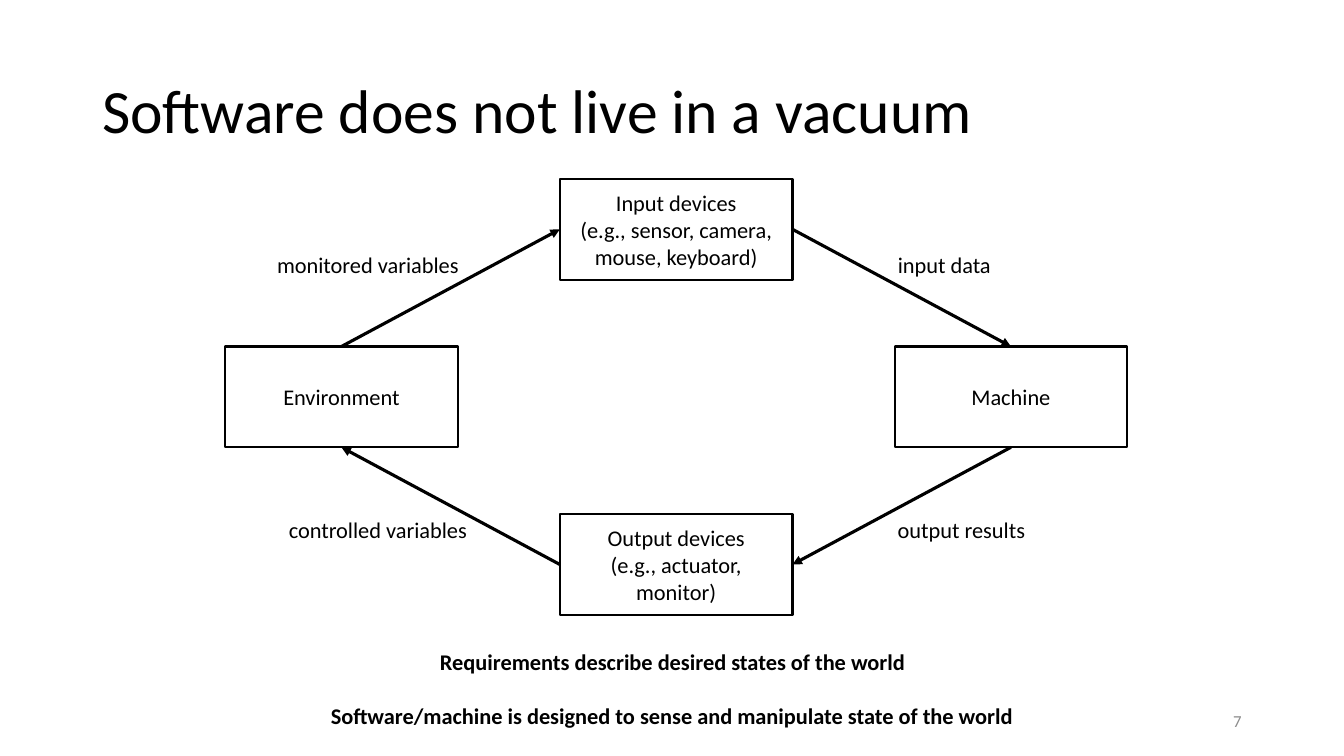
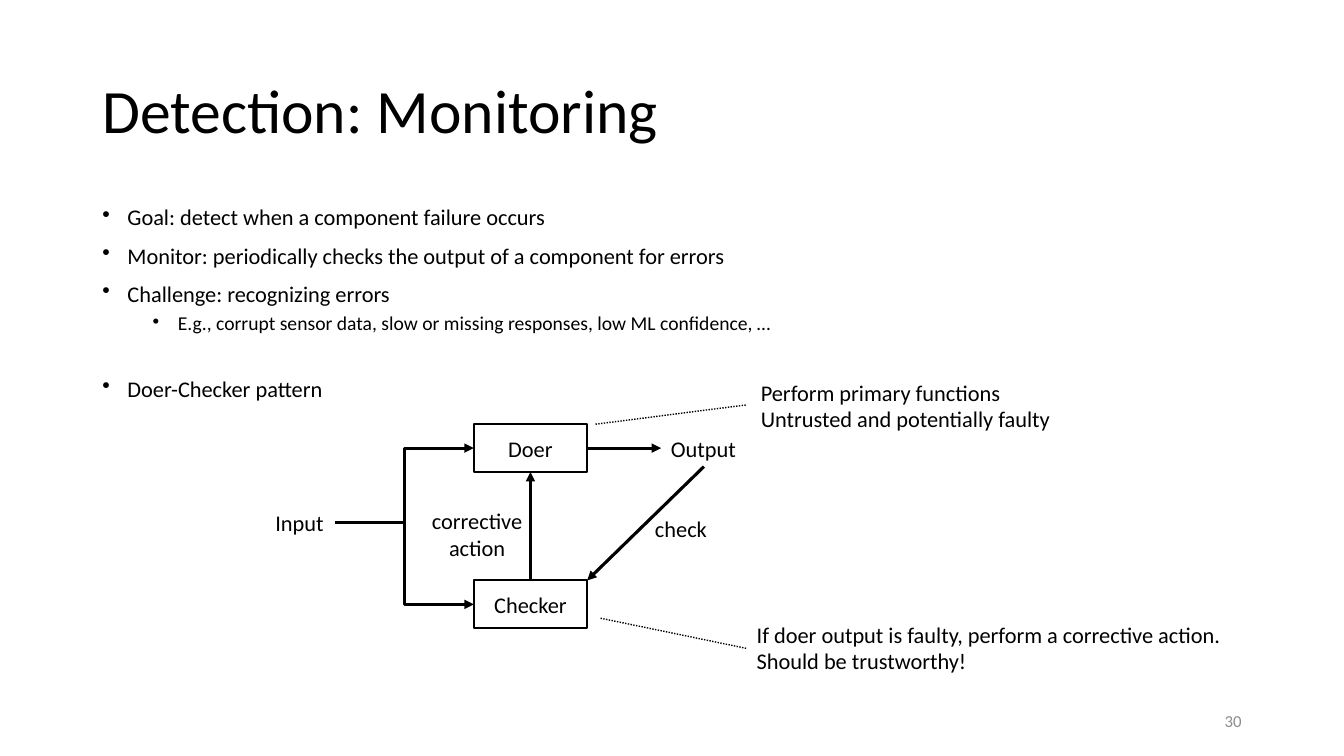
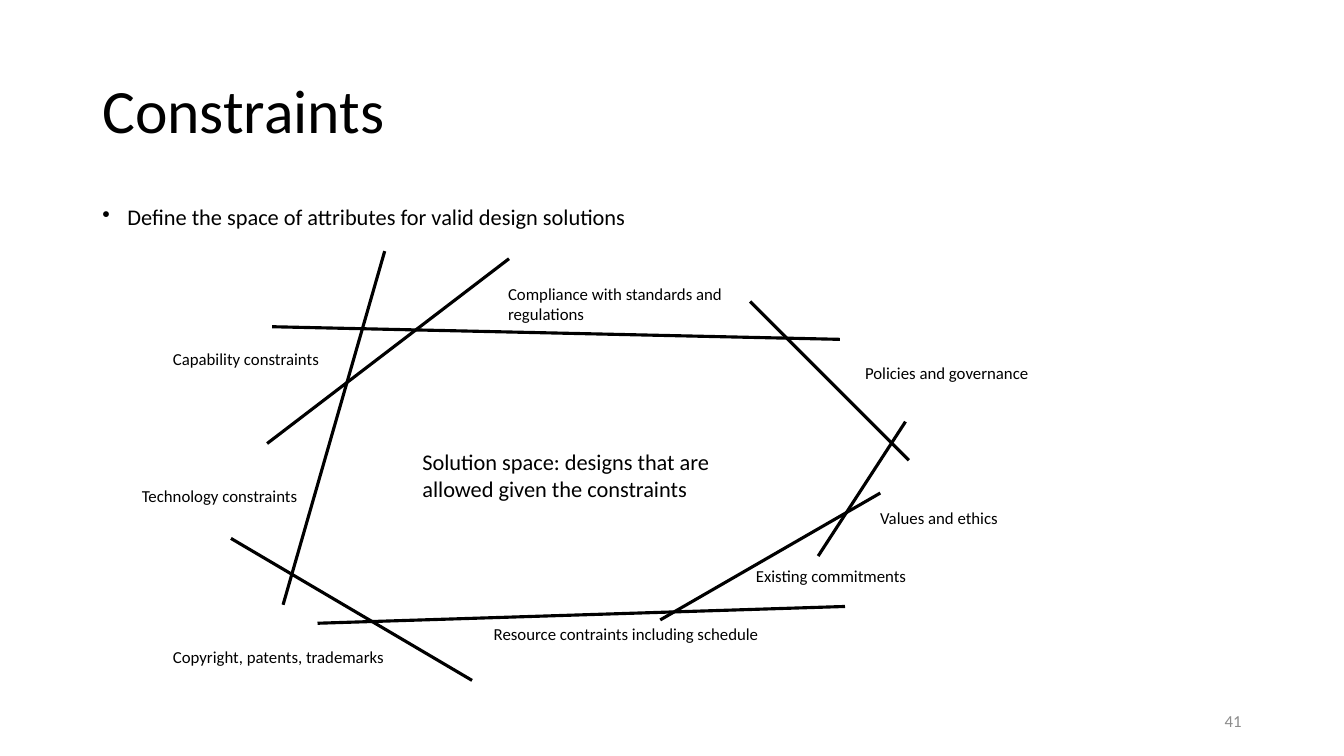
"""Build three slides on software requirements, monitoring and constraints."""

import dataclasses
import typing

import lxml.etree
import pptx
import pptx.dml.color
import pptx.enum.dml
import pptx.enum.shapes
import pptx.enum.text
import pptx.oxml.ns
import pptx.presentation
import pptx.shapes.autoshape
import pptx.slide
import pptx.util

COLUMNS, ROWS = 160, 90
CELL = pptx.util.Inches(7.5) // ROWS
COLORS = {"ink": "000000", "paper": "FFFFFF", "muted": "8C8C8C"}
FONT = "Calibri"
TEXT, SMALL = 16, 12
LINE_HEIGHT = 4.4

ALIGN = pptx.enum.text.PP_ALIGN
ANCHOR = pptx.enum.text.MSO_ANCHOR
KIND = pptx.enum.shapes.MSO_CONNECTOR
TOP, LEFT, BOTTOM, RIGHT = range(4)

Shape = pptx.shapes.autoshape.Shape
Slide = pptx.slide.Slide


class Area(typing.NamedTuple):
    """Rectangle in grid columns and rows."""

    left: float
    top: float
    width: float
    height: float


class Spot(typing.NamedTuple):
    """Point in grid columns and rows."""

    column: float
    row: float


class Joint(typing.NamedTuple):
    """Side of a shape where a connector is attached."""

    shape: Shape
    side: int


@dataclasses.dataclass(frozen=True)
class Label:
    """Free text with its place on the grid."""

    text: str
    area: Area
    bold: bool = False
    wrap: bool = False
    size: int = TEXT
    align: ALIGN = ALIGN.LEFT


@dataclasses.dataclass(frozen=True)
class Bullet:
    """One bulleted line of the body."""

    text: str
    level: int = 0
    size: int = TEXT
    before: float = 10


TITLE = Area(11, 4.8, 138, 17.4)
BODY = Area(11, 24, 138, 57.1)
NUMBER = Area(113, 83.4, 36, 4.8)


def color(name: str) -> pptx.dml.color.RGBColor:
    """Return a named colour."""
    return pptx.dml.color.RGBColor.from_string(COLORS[name])


def cells(*counts: float) -> list[pptx.util.Emu]:
    """Turn grid counts into lengths."""
    return [pptx.util.Emu(round(count * CELL)) for count in counts]


def write(shape: Shape, text: str, *, size: int = TEXT, ink: str = "ink", bold: bool = False,
          align: ALIGN = ALIGN.LEFT, anchor: ANCHOR = ANCHOR.TOP, wrap: bool = True,
          spacing: float = 1.0) -> None:
    """Write one paragraph for each line of the text."""
    frame = shape.text_frame
    frame.word_wrap = wrap
    frame.vertical_anchor = anchor
    frame.text = text
    for para in frame.paragraphs:
        para.alignment = align
        para.line_spacing = spacing
        for span in para.runs:
            span.font.name = FONT
            span.font.size = pptx.util.Pt(size)
            span.font.bold = bold
            span.font.color.rgb = color(ink)


def add_text(page: Slide, area: Area, text: str, **style: typing.Any) -> Shape:
    """Add a text box."""
    shape = page.shapes.add_textbox(*cells(*area))
    write(shape, text, **style)
    return shape


def add_label(page: Slide, label: Label) -> Shape:
    """Add a label that grows with its text."""
    shape = add_text(page, label.area, label.text, size=label.size, bold=label.bold,
                     align=label.align, wrap=label.wrap)
    shape.text_frame.auto_size = pptx.enum.text.MSO_AUTO_SIZE.SHAPE_TO_FIT_TEXT
    return shape


def add_box(page: Slide, area: Area, text: str) -> Shape:
    """Add an outlined box with centred text."""
    shape = page.shapes.add_shape(pptx.enum.shapes.MSO_SHAPE.RECTANGLE, *cells(*area))
    shape.shadow.inherit = False
    shape.fill.background()
    shape.line.color.rgb = color("ink")
    shape.line.width = pptx.util.Pt(1.5)
    write(shape, text, align=ALIGN.CENTER, anchor=ANCHOR.MIDDLE)
    return shape


def add_line(page: Slide, begin: Spot | Joint, end: Spot | Joint, *, kind: KIND = KIND.STRAIGHT,
             width: float = 2.25, arrow: bool = False, dotted: bool = False) -> None:
    """Draw a connector between two spots or joints."""
    begin_at, end_at = (cells(*place) if isinstance(place, Spot) else cells(0, 0)
                        for place in (begin, end))
    line = page.shapes.add_connector(kind, *begin_at, *end_at)
    if isinstance(begin, Joint):
        line.begin_connect(begin.shape, begin.side)
    if isinstance(end, Joint):
        line.end_connect(end.shape, end.side)
    line.line.color.rgb = color("ink")
    line.line.width = pptx.util.Pt(width)
    if dotted:
        line.line.dash_style = pptx.enum.dml.MSO_LINE.ROUND_DOT
    qn = pptx.oxml.ns.qn
    properties = line.element.spPr
    if arrow:
        lxml.etree.SubElement(properties.find(qn("a:ln")), qn("a:tailEnd"), type="triangle")
    lxml.etree.SubElement(properties, qn("a:effectLst"))


def add_body(page: Slide, bullets: list[Bullet]) -> None:
    """Add the bulleted body."""
    shape = add_text(page, BODY, "\n".join(bullet.text for bullet in bullets), spacing=0.9)
    for para, bullet in zip(shape.text_frame.paragraphs, bullets):
        para.level = bullet.level
        para.space_before = pptx.util.Pt(bullet.before)
        para.runs[0].font.size = pptx.util.Pt(bullet.size)
        properties = para._p.get_or_add_pPr()
        properties.set("marL", str(pptx.util.Inches(0.25 + 0.5 * bullet.level)))
        properties.set("indent", str(pptx.util.Inches(-0.25)))
        lxml.etree.SubElement(properties, pptx.oxml.ns.qn("a:buChar"), char="•")


def add_page(deck: pptx.presentation.Presentation, title: str, number: int) -> Slide:
    """Add a page with its title and number."""
    page = deck.slides.add_slide(deck.slide_layouts[6])
    page.background.fill.solid()
    page.background.fill.fore_color.rgb = color("paper")
    add_text(page, TITLE, title, size=44, anchor=ANCHOR.MIDDLE, spacing=0.9)
    add_text(page, NUMBER, str(number), size=SMALL, ink="muted", align=ALIGN.RIGHT,
             anchor=ANCHOR.MIDDLE)
    return page


def build_vacuum(deck: pptx.presentation.Presentation) -> None:
    """Draw the loop between environment and machine."""
    page = add_page(deck, "Software does not live in a vacuum", 7)
    middle, width, height = Spot(80.5, 47.25), 27.7, 12
    reach_x, reach_y = 39.85, 19.95

    def station(across: int, down: int, text: str) -> Shape:
        """Place a box around the middle of the loop."""
        left = middle.column + across * reach_x - width / 2
        top = middle.row + down * reach_y - height / 2
        return add_box(page, Area(left, top, width, height), text)

    environment = station(-1, 0, "Environment")
    machine = station(1, 0, "Machine")
    outputs = station(0, 1, "Output devices\n(e.g., actuator, monitor)")
    inputs = station(0, -1, "Input devices\n(e.g., sensor, camera, mouse, keyboard)")
    for begin, end in (
        (Joint(environment, TOP), Joint(inputs, LEFT)),
        (Joint(inputs, RIGHT), Joint(machine, TOP)),
        (Joint(machine, BOTTOM), Joint(outputs, RIGHT)),
        (Joint(outputs, LEFT), Joint(environment, BOTTOM)),
    ):
        add_line(page, begin, end, arrow=True)

    upper, lower, right = 29.3, 60.8, 105.7
    for label in (
        Label("monitored variables", Area(31.8, upper, 24.4, LINE_HEIGHT)),
        Label("input data", Area(right, upper, 13.6, LINE_HEIGHT)),
        Label("output results", Area(right, lower, 17.8, LINE_HEIGHT)),
        Label("controlled variables", Area(33.2, lower, 23.9, LINE_HEIGHT)),
        Label("Requirements describe desired states of the world",
              Area(51.2, 76.6, 58.4, LINE_HEIGHT), bold=True),
        Label("Software/machine is designed to sense and manipulate state of the world",
              Area(38.2, 83, 84.7, LINE_HEIGHT), bold=True),
    ):
        add_label(page, label)


def build_monitoring(deck: pptx.presentation.Presentation) -> None:
    """Draw the doer and checker pattern."""
    page = add_page(deck, "Detection: Monitoring", 30)
    add_body(page, [
        Bullet("Goal: detect when a component failure occurs"),
        Bullet("Monitor: periodically checks the output of a component for errors"),
        Bullet("Challenge: recognizing errors"),
        Bullet("E.g., corrupt sensor data, slow or missing responses, low ML confidence, …",
               level=1, size=14, before=5),
        Bullet("Doer-Checker pattern", before=30.5),
    ])
    doer, checker = (add_box(page, Area(56.4, top, 13.5, 5.7), text)
                     for top, text in ((50.5, "Doer"), (69.1, "Checker")))
    source = add_label(page, Label("Input", Area(31.6, 60, 8.3, LINE_HEIGHT)))
    result = add_label(page, Label("Output", Area(78.7, 51.15, 10.2, LINE_HEIGHT)))
    two_lines = 7.7
    for label in (
        Label("check", Area(76.8, 60.7, 8.6, LINE_HEIGHT)),
        Label("corrective action", Area(49.2, 59.8, 15.2, two_lines), wrap=True,
              align=ALIGN.CENTER),
        Label("Perform primary functions\nUntrusted and potentially faulty",
              Area(89.4, 44.5, 37.2, two_lines)),
        Label("If doer output is faulty, perform a corrective action.\nShould be trustworthy!",
              Area(88.9, 73.3, 59.2, two_lines), wrap=True),
    ):
        add_label(page, label)

    for target in (doer, checker):
        add_line(page, Joint(source, RIGHT), Joint(target, LEFT), kind=KIND.ELBOW, arrow=True)
    add_line(page, Joint(checker, TOP), Joint(doer, BOTTOM), arrow=True)
    add_line(page, Joint(doer, RIGHT), Joint(result, LEFT), arrow=True)
    add_line(page, Joint(result, BOTTOM), Spot(69.9, 69.1), arrow=True)
    for begin, end in ((Spot(70.9, 50.5), Spot(88.9, 48.2)), (Spot(71.5, 73.6), Spot(88.9, 77.2))):
        add_line(page, begin, end, width=1, dotted=True)


def build_constraints(deck: pptx.presentation.Presentation) -> None:
    """Draw the solution space and the lines that bound it."""
    page = add_page(deck, "Constraints", 41)
    add_body(page, [Bullet("Define the space of attributes for valid design solutions")])
    add_label(page, Label("Solution space: designs that are allowed given the constraints",
                          Area(49.1, 52.8, 37.7, 7.7), wrap=True))
    for text, left, top in (
        ("Capability constraints", 19.4, 40.9),
        ("Copyright, patents, trademarks", 19.4, 76.4),
        ("Compliance with standards and regulations", 59.3, 33.2),
        ("Values and ethics", 103.6, 59.8),
        ("Technology constraints", 15.7, 57.2),
        ("Resource contraints including schedule", 57.6, 73.7),
        ("Existing commitments", 88.8, 66.8),
        ("Policies and governance", 101.8, 42.6),
    ):
        width = 36 if text.startswith("Resource") else 33.5
        add_label(page, Label(text, Area(left, top, width, 3.6), wrap=True, size=SMALL))
    for begin, end in (
        (Spot(32.4, 38.9), Spot(100, 40.4)),
        (Spot(31.8, 52.8), Spot(60.6, 30.8)),
        (Spot(33.7, 72), Spot(45.8, 29.9)),
        (Spot(27.5, 64.1), Spot(56.2, 81)),
        (Spot(37.8, 74.2), Spot(100.6, 72.2)),
        (Spot(89.3, 35.9), Spot(108.2, 54.8)),
        (Spot(97.4, 66.2), Spot(107.8, 50.2)),
        (Spot(78.6, 73.8), Spot(104.8, 58.7)),
    ):
        add_line(page, begin, end)


def main() -> None:
    """Build the deck and save it."""
    deck = pptx.Presentation()
    deck.slide_width, deck.slide_height = cells(COLUMNS, ROWS)
    for build in (build_vacuum, build_monitoring, build_constraints):
        build(deck)
    deck.save("out.pptx")


if __name__ == "__main__":
    main()
